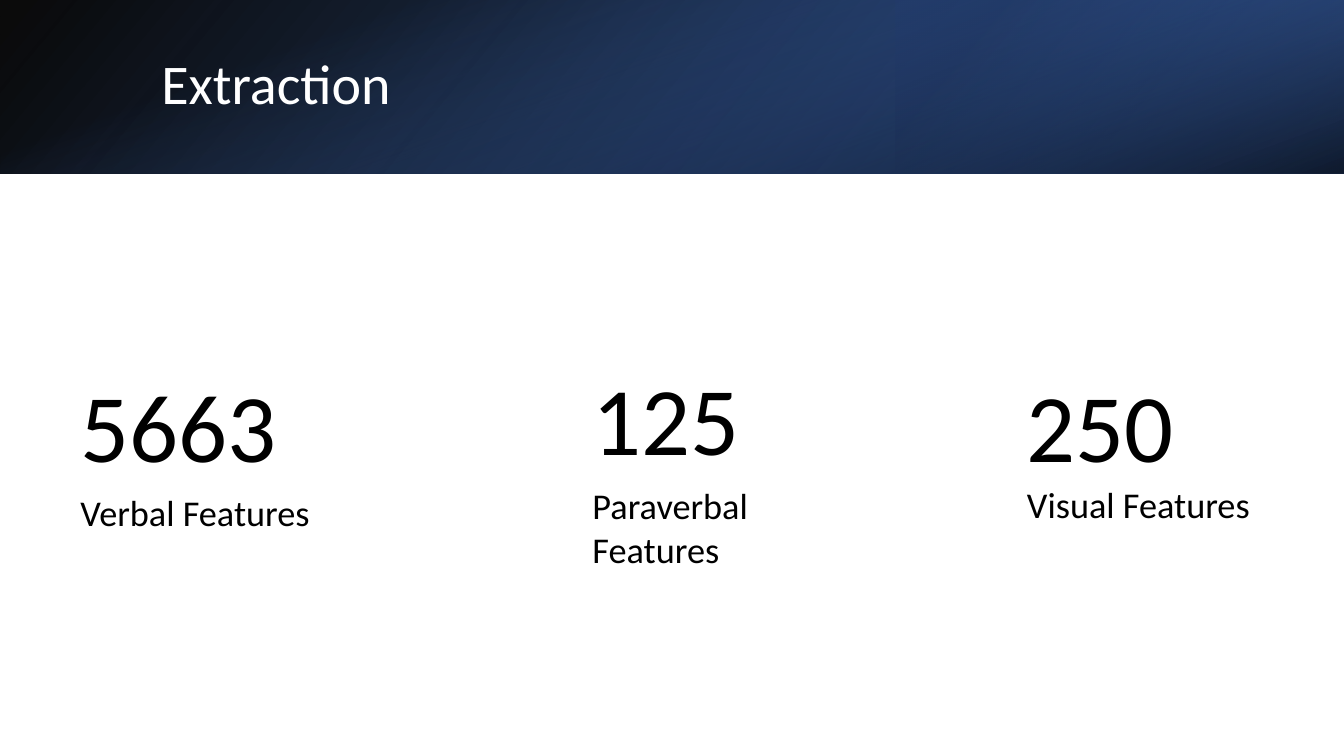
from lxml.etree import SubElement
from pptx import Presentation
from pptx.dml.color import RGBColor
from pptx.enum.shapes import MSO_SHAPE
from pptx.enum.text import MSO_ANCHOR, MSO_AUTO_SIZE, PP_ALIGN
from pptx.oxml.ns import qn
from pptx.util import Pt

COLORS = {"black": "000000", "white": "FFFFFF", "blue": "2F5597",
          "navy": "203864", "accent": "4472C4"}
FONT = "Calibri"
SLIDE_W, SLIDE_H, BAND_H = 960, 540, 123.84
NUMBER_SIZE, LABEL_SIZE = 69.1, 25.9

TITLE = "Extraction"
TITLE_BOX = (108, 27.36, 790.56, 69.12)
FEATURES = [
    {"number": "5663", "label": "Verbal Features", "gap": 6,
     "box": (50.4, 257.76, 306, 128.16)},
    {"number": "250", "label": "Visual Features", "gap": 0,
     "box": (726.48, 257.76, 185.04, 126)},
    {"number": "125", "label": "Paraverbal Features", "gap": 6,
     "box": (416.16, 252.72, 213.84, 159.84)},
]

SIDE = (SLIDE_W - BAND_H) / 2
BANDS = [
    {"box": (0, 0, SLIDE_W, BAND_H), "rotation": 0, "flip": True, "angle": 140,
     "stops": [(0, "black", 96), (100, "blue", 100)]},
    {"box": (SLIDE_W * 2 / 3, 0, SLIDE_W / 3, BAND_H), "rotation": 180,
     "flip": True, "angle": 320,
     "stops": [(19, "navy", 68), (100, "accent", 79)]},
    {"box": (SIDE, -SIDE, BAND_H, SLIDE_W), "rotation": 90, "flip": False,
     "angle": 340, "stops": [(23, "accent", 0), (99, "black", 74)]},
]


def add_band(slide, band):
    sp = slide.shapes.add_shape(MSO_SHAPE.RECTANGLE, *map(Pt, band["box"]))
    sp.rotation = band["rotation"]
    props = sp._element.spPr
    if band["flip"]:
        props.find(qn("a:xfrm")).set("flipH", "1")
    grad = SubElement(props, qn("a:gradFill"), rotWithShape="1")
    stops = SubElement(grad, qn("a:gsLst"))
    for position, color, opacity in band["stops"]:
        stop = SubElement(stops, qn("a:gs"), pos=str(position * 1000))
        rgb = SubElement(stop, qn("a:srgbClr"), val=COLORS[color])
        SubElement(rgb, qn("a:alpha"), val=str(opacity * 1000))
    SubElement(grad, qn("a:lin"), ang=str(band["angle"] * 60000), scaled="0")
    sp.line.fill.background()
    sp.shadow.inherit = False


def write(p, text, size, color):
    p.text = text
    p.alignment = PP_ALIGN.LEFT
    font = p.runs[0].font
    font.name, font.size = FONT, Pt(size)
    font.color.rgb = RGBColor.from_string(COLORS[color])


def add_feature(slide, feature):
    tf = slide.shapes.add_textbox(*map(Pt, feature["box"])).text_frame
    tf.word_wrap = True
    tf.auto_size = MSO_AUTO_SIZE.SHAPE_TO_FIT_TEXT
    number, label = tf.paragraphs[0], tf.add_paragraph()
    write(number, feature["number"], NUMBER_SIZE, "black")
    write(label, feature["label"], LABEL_SIZE, "black")
    number.space_after = Pt(feature["gap"])
    label.space_after = Pt(6)


def main():
    prs = Presentation()
    prs.slide_width, prs.slide_height = Pt(SLIDE_W), Pt(SLIDE_H)
    slide = prs.slides.add_slide(prs.slide_layouts[5])

    for band in BANDS:
        add_band(slide, band)

    title = slide.shapes.title
    title.left, title.top, title.width, title.height = map(Pt, TITLE_BOX)
    title.text_frame.vertical_anchor = MSO_ANCHOR.MIDDLE
    p = title.text_frame.paragraphs[0]
    write(p, TITLE, 40, "white")
    p.line_spacing = 0.9
    slide.shapes._spTree.append(title._element)

    for feature in FEATURES:
        add_feature(slide, feature)

    prs.save("out.pptx")


if __name__ == "__main__":
    main()
